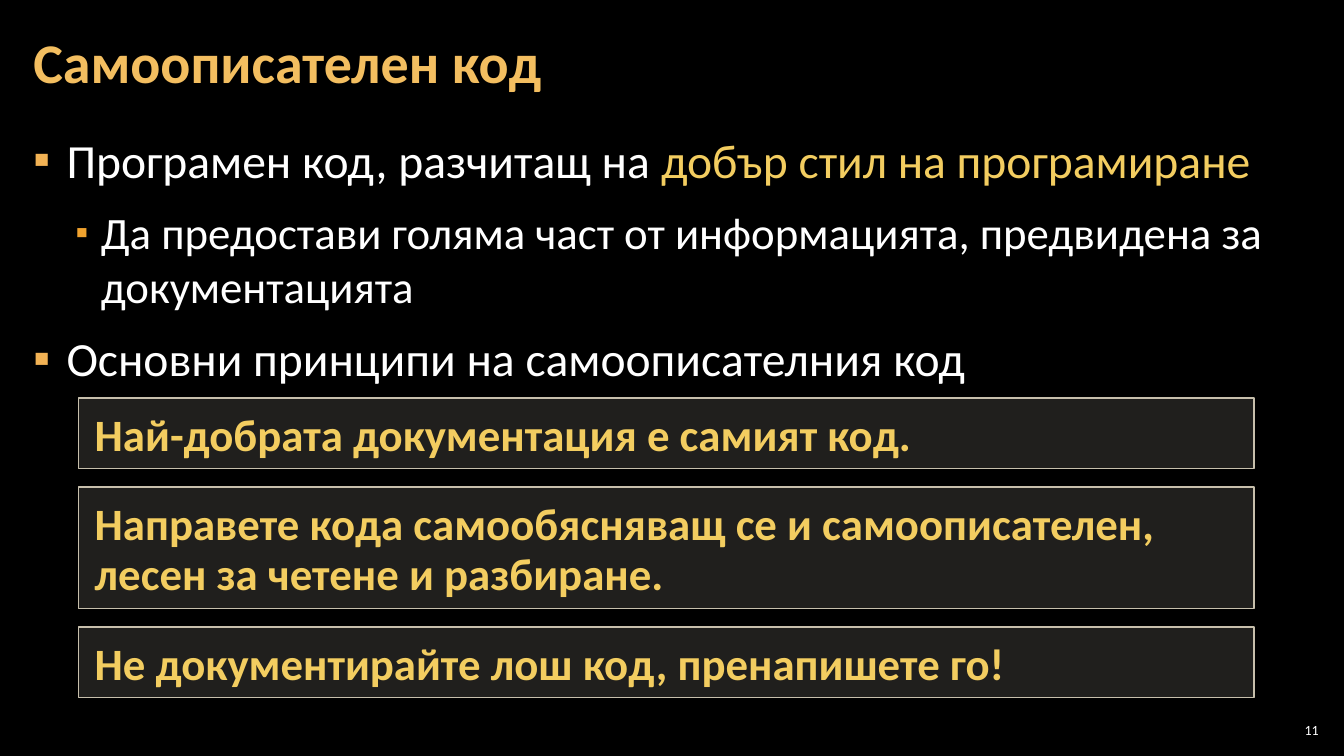
from lxml.etree import SubElement
from pptx import Presentation
from pptx.dml.color import RGBColor
from pptx.enum.shapes import MSO_SHAPE
from pptx.enum.text import MSO_ANCHOR, MSO_AUTO_SIZE, PP_ALIGN
from pptx.oxml.ns import qn
from pptx.util import Pt

PX = 9144
COLORS = {
    "background": "000000", "text": "FFFFFF", "title": "F3BE60",
    "accent": "F3CD60", "bullet": "F2B254", "sub_bullet": "F0A22E",
    "card": "D9D5C7", "border": "C7BFAC",
}
LEVELS = [
    {"size": 34, "indent": 33, "hang": 33, "bullet": "bullet", "scale": 100},
    {"size": 32, "indent": 67, "hang": 25, "bullet": "sub_bullet", "scale": 80},
]
BODY = [
    (0, [("Програмен код, разчитащ на ", "text"),
         ("добър стил на програмиране", "accent")]),
    (1, [("Да предостави голяма част от информацията, предвидена за документацията", "text")]),
    (0, [("Основни принципи на самоописателния код", "text")]),
]
CARDS = [
    ("Най-добрата документация е самият код.", 70),
    ("Направете кода самообясняващ се и самоописателен, лесен за четене и разбиране.", 121),
    ("Не документирайте лош код, пренапишете го!", 70),
]


def px(*values):
    return [v * PX for v in values]


def rgb(name):
    return RGBColor.from_string(COLORS[name])


def set_attrs(target, values):
    for name, value in values.items():
        setattr(target, name, value)


def set_frame(tf, margins, anchor=MSO_ANCHOR.TOP):
    sides = ("margin_left", "margin_top", "margin_right", "margin_bottom")
    set_attrs(tf, dict(zip(sides, px(*margins))))
    set_attrs(tf, {"word_wrap": True, "auto_size": MSO_AUTO_SIZE.NONE,
                   "vertical_anchor": anchor})


def add_run(p, text, size, color, bold=False):
    r = p.add_run()
    r.text = text
    set_attrs(r.font, {"name": "Calibri", "size": Pt(size), "bold": bold})
    r.font.color.rgb = rgb(color)


def set_bullet(p, level):
    pr = p._p.get_or_add_pPr()
    pr.set("marL", str(level["indent"] * PX))
    pr.set("indent", str(-level["hang"] * PX))
    color = SubElement(pr, qn("a:buClr"))
    SubElement(color, qn("a:srgbClr"), val=COLORS[level["bullet"]])
    SubElement(pr, qn("a:buSzPct"), val=str(level["scale"] * 1000))
    SubElement(pr, qn("a:buFont"), typeface="Calibri")
    SubElement(pr, qn("a:buChar"), char="▪")


def add_title(s, left, top, width, height):
    sp = s.shapes.title
    set_attrs(sp, dict(zip(("left", "top", "width", "height"),
                           px(left, top, width, height))))
    set_frame(sp.text_frame, (12, 4, 12, 4), MSO_ANCHOR.MIDDLE)
    p = sp.text_frame.paragraphs[0]
    set_attrs(p, {"alignment": PP_ALIGN.LEFT, "line_spacing": 0.9})
    add_run(p, "Самоописателен код", 40, "title", True)


def add_body(s, left, top, width, height):
    tf = s.shapes.add_textbox(*px(left, top, width, height)).text_frame
    set_frame(tf, (12, 4, 12, 4))
    for i, (depth, runs) in enumerate(BODY):
        p = tf.add_paragraph() if i else tf.paragraphs[0]
        set_attrs(p, {"level": depth, "space_before": Pt(6), "space_after": Pt(6)})
        set_bullet(p, LEVELS[depth])
        for text, color in runs:
            add_run(p, text, LEVELS[depth]["size"], color)


def add_card(s, text, left, top, width, height):
    sp = s.shapes.add_shape(MSO_SHAPE.RECTANGLE, *px(left, top, width, height))
    sp.shadow.inherit = False
    sp.fill.solid()
    sp.fill.fore_color.rgb = rgb("card")
    color = sp.fill._xPr.find(qn("a:solidFill"))[0]
    SubElement(color, qn("a:alpha"), val="15000")
    sp.line.color.rgb = rgb("border")
    sp.line.width = Pt(1)
    set_frame(sp.text_frame, (16, 12, 16, 8))
    p = sp.text_frame.paragraphs[0]
    set_attrs(p, {"alignment": PP_ALIGN.LEFT, "line_spacing": Pt(36)})
    add_run(p, text, 32, "accent", True)


def add_cards(s, left, top, width, gap):
    for text, height in CARDS:
        add_card(s, text, left, top, width, height)
        top += height + gap


def add_number(s, left, top, width, height):
    tf = s.shapes.add_textbox(*px(left, top, width, height)).text_frame
    set_frame(tf, (4, 4, 4, 4), MSO_ANCHOR.MIDDLE)
    p = tf.paragraphs[0]
    p.alignment = PP_ALIGN.RIGHT
    add_run(p, "11", 10, "text")


def main():
    prs = Presentation()
    prs.slide_width, prs.slide_height = px(1333, 750)
    s = prs.slides.add_slide(prs.slide_layouts[5])
    s.background.fill.solid()
    s.background.fill.fore_color.rgb = rgb("background")
    add_title(s, 21, 4, 1291, 121)
    add_body(s, 21, 126, 1291, 609)
    add_cards(s, 78, 395, 1166, 18)
    add_number(s, 1265, 714, 47, 21)
    prs.save("out.pptx")


if __name__ == "__main__":
    main()
